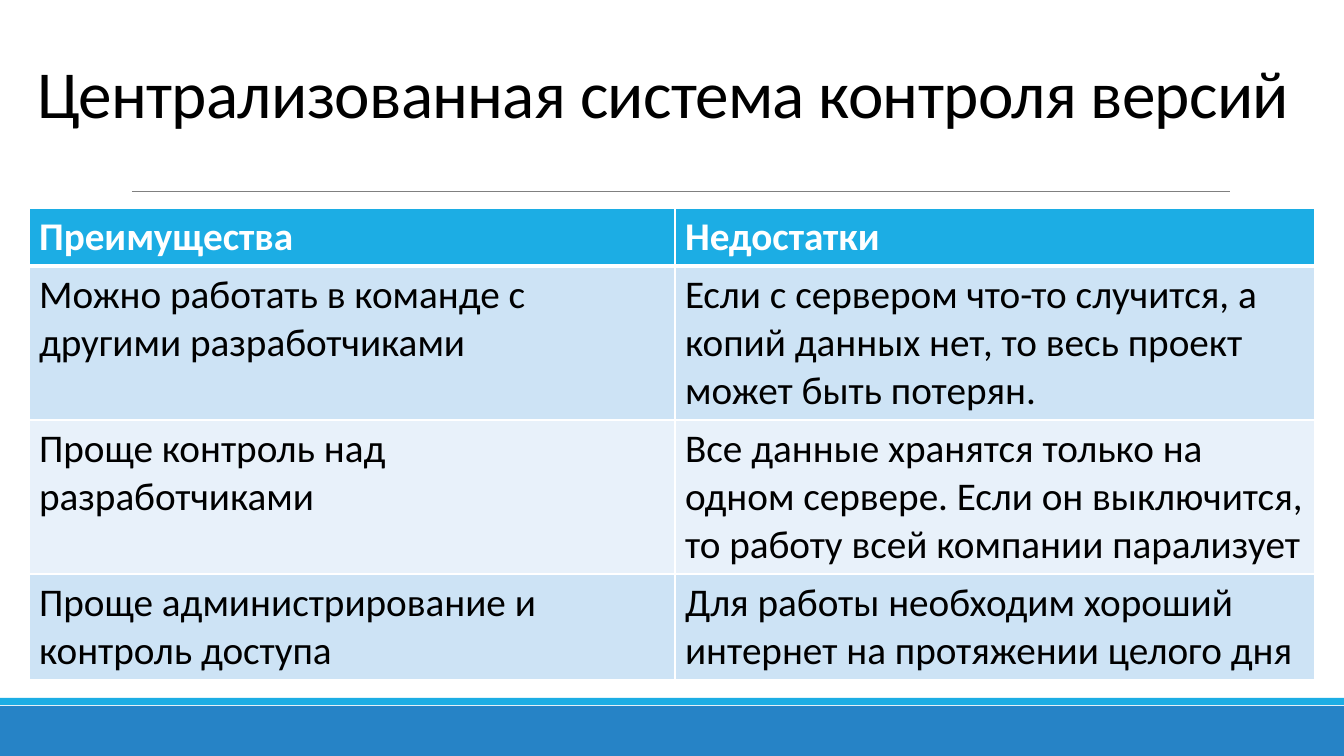
from dataclasses import dataclass

import pptx
import pptx.dml.color
import pptx.enum.shapes
import pptx.enum.text
import pptx.oxml
import pptx.oxml.ns
import pptx.util

EMU_PER_PX = 914400 / 100.8
SLIDE_WIDTH, SLIDE_HEIGHT = 1344, 756
FONT = "Calibri"
COLORS = {
    "text": "000000",
    "white": "FFFFFF",
    "rule": "808080",
    "accent": "1CADE4",
    "footer": "2683C6",
    "odd_row": "CDE3F5",
    "even_row": "E8F1FA",
}


@dataclass(frozen=True)
class Band:
    top: int
    height: int
    color: str


@dataclass(frozen=True)
class Row:
    height: int
    advantage: str
    drawback: str


BANDS = [Band(706, 50, "footer"), Band(698, 7, "accent")]
COLUMN_WIDTHS = [646, 640]
ROWS = [
    Row(58, "Преимущества", "Недостатки"),
    Row(154, "Можно работать в команде с другими разработчиками",
        "Если с сервером что-то случится, а копий данных нет, "
        "то весь проект может быть потерян."),
    Row(154, "Проще контроль над разработчиками",
        "Все данные хранятся только на одном сервере. "
        "Если он выключится, то работу всей компании парализует"),
    Row(106, "Проще администрирование и контроль доступа",
        "Для работы необходим хороший интернет на протяжении целого дня"),
]


def px(length: int) -> pptx.util.Emu:
    return pptx.util.Emu(round(length * EMU_PER_PX))


def rgb(name: str) -> pptx.dml.color.RGBColor:
    return pptx.dml.color.RGBColor.from_string(COLORS[name])


def add_run(paragraph, text: str, size: int, color: str, bold: bool = False):
    run = paragraph.add_run()
    run.text = text
    run.font.name = FONT
    run.font.size = pptx.util.Pt(size)
    run.font.bold = bold
    run.font.color.rgb = rgb(color)
    return run


def add_band(slide, band: Band) -> None:
    strip = slide.shapes.add_shape(
        pptx.enum.shapes.MSO_SHAPE.RECTANGLE,
        0, px(band.top), px(SLIDE_WIDTH), px(band.height))
    strip.shadow.inherit = False
    strip.fill.solid()
    strip.fill.fore_color.rgb = rgb(band.color)
    strip.line.fill.background()


def add_rule(slide, left: int, right: int, y: int) -> None:
    rule = slide.shapes.add_connector(
        pptx.enum.shapes.MSO_CONNECTOR.STRAIGHT, px(left), px(y), px(right), px(y))
    rule.line.color.rgb = rgb("rule")
    rule.line.width = pptx.util.Pt(0.5)
    rule._element.spPr.append(pptx.oxml.parse_xml(
        f"<a:effectLst {pptx.oxml.ns.nsdecls('a')}/>"))


def set_title(slide, text: str) -> None:
    title = slide.shapes.title
    title.left, title.top, title.width, title.height = map(px, (27, 31, 1288, 106))
    frame = title.text_frame
    frame.word_wrap = True
    frame.auto_size = pptx.enum.text.MSO_AUTO_SIZE.NONE
    frame.vertical_anchor = pptx.enum.text.MSO_ANCHOR.BOTTOM
    heading = frame.paragraphs[0]
    heading.alignment = pptx.enum.text.PP_ALIGN.LEFT
    heading.line_spacing = 0.85
    run = add_run(heading, text, 48, "text")
    run.font._element.set("spc", "-50")


def set_borders(cell, top: int, bottom: int) -> None:
    properties = cell._tc.get_or_add_tcPr()
    for side, points in (("L", 1), ("R", 1), ("T", top), ("B", bottom)):
        properties.append(pptx.oxml.parse_xml(
            f"<a:ln{side} {pptx.oxml.ns.nsdecls('a')} w='{pptx.util.Pt(points)}'>"
            f"<a:solidFill><a:srgbClr val='{COLORS['white']}'/></a:solidFill>"
            f"</a:ln{side}>"))


def add_comparison(slide, left: int, top: int) -> None:
    comparison = slide.shapes.add_table(
        len(ROWS), len(COLUMN_WIDTHS), px(left), px(top),
        px(sum(COLUMN_WIDTHS)), px(sum(row.height for row in ROWS))).table
    for column, width in zip(comparison.columns, COLUMN_WIDTHS):
        column.width = px(width)
    for index, row in enumerate(ROWS):
        comparison.rows[index].height = px(row.height)
        header = index == 0
        fill = "accent" if header else "odd_row" if index % 2 else "even_row"
        for column, text in enumerate((row.advantage, row.drawback)):
            cell = comparison.cell(index, column)
            set_borders(cell, 3 if index == 1 else 1, 3 if header else 1)
            cell.fill.solid()
            cell.fill.fore_color.rgb = rgb(fill)
            add_run(cell.text_frame.paragraphs[0], text, 28,
                    "white" if header else "text", header)


def main() -> None:
    presentation = pptx.Presentation()
    presentation.slide_width = px(SLIDE_WIDTH)
    presentation.slide_height = px(SLIDE_HEIGHT)
    slide = presentation.slides.add_slide(presentation.slide_layouts[5])

    # Background and decoration
    slide.background.fill.solid()
    slide.background.fill.fore_color.rgb = rgb("white")
    for band in BANDS:
        add_band(slide, band)
    add_rule(slide, 132, 1230, 191)

    # Content
    set_title(slide, "Централизованная система контроля версий")
    add_comparison(slide, 29, 208)

    presentation.save("out.pptx")


if __name__ == "__main__":
    main()
